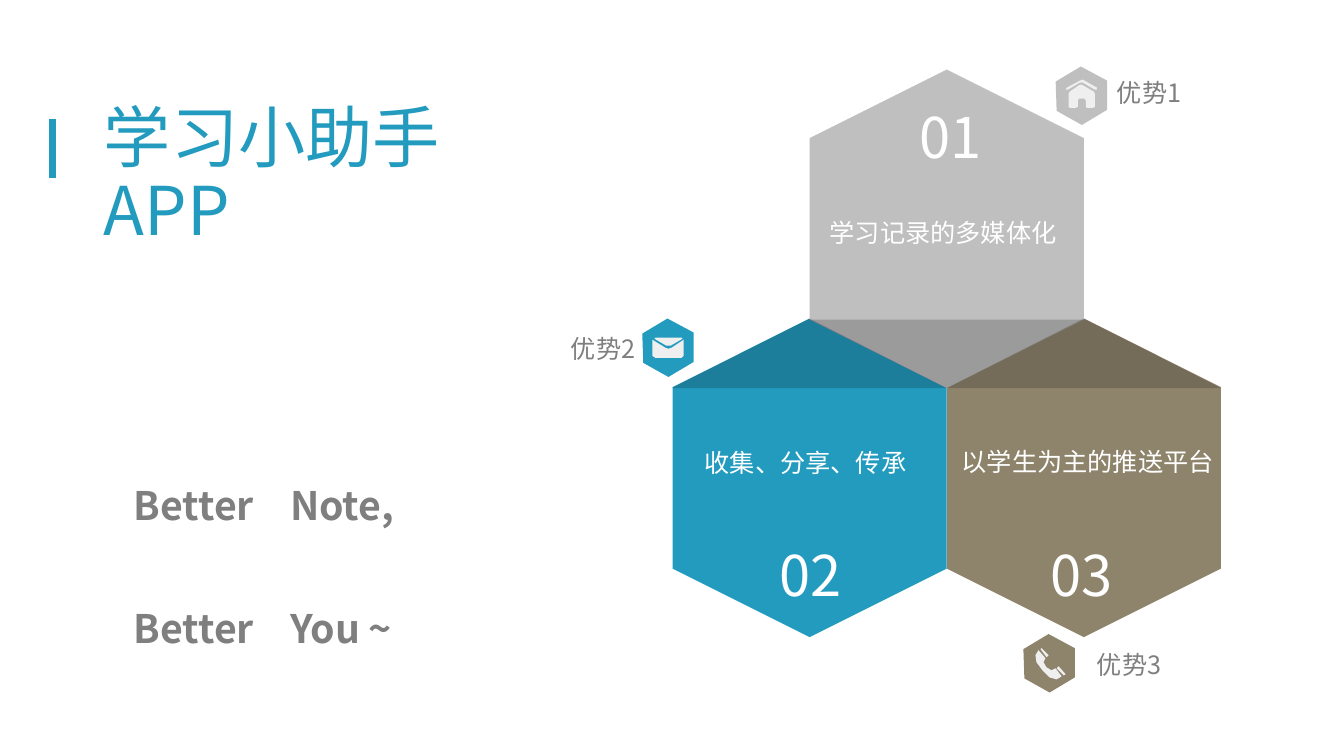
from pptx import Presentation
from pptx.dml.color import RGBColor
from pptx.enum.shapes import MSO_CONNECTOR, MSO_SHAPE
from pptx.enum.text import MSO_ANCHOR, MSO_AUTO_SIZE, PP_ALIGN
from pptx.oxml.ns import qn
from pptx.util import Inches, Pt
from lxml.etree import SubElement

BLUE = RGBColor(0x22, 0x9B, 0xBF)
BROWN = RGBColor(0x8E, 0x84, 0x6C)
SILVER = RGBColor(0xBF, 0xBF, 0xBF)
GRAY = RGBColor(0x7F, 0x7F, 0x7F)
ICON = RGBColor(0xF0, 0xEF, 0xEF)
SHADE = RGBColor(0x0D, 0x0D, 0x0D)
WHITE = RGBColor(0xFF, 0xFF, 0xFF)

HEXAGONS = [(10.75, 4.74, BROWN), (8.03, 4.74, BLUE), (9.39, 2.27, SILVER)]
SHADOWS = [
    [(10.75, 3.16), (12.11, 3.85), (9.39, 3.85)],
    [(8.03, 3.16), (9.39, 3.85), (6.66, 3.85)],
    [(9.39, 3.85), (10.75, 3.17), (8.03, 3.17)],
]
BADGES = [(10.47, 0.66, SILVER), (10.15, 6.29, BROWN), (6.37, 3.16, BLUE)]
BADGE_OUTLINE = [(0, 0.15), (0.25, 0), (0.51, 0.14), (0.51, 0.43), (0.26, 0.58), (0.01, 0.44)]
ICON_PARTS = [
    [(10.73, 0.84), (10.71, 0.84), (10.61, 0.91), (10.6, 0.93), (10.6, 1.06), (10.61, 1.07),
     (10.67, 1.07), (10.69, 1.06), (10.69, 1), (10.7, 0.98), (10.76, 0.98), (10.77, 1),
     (10.77, 1.06), (10.78, 1.07), (10.84, 1.07), (10.86, 1.06), (10.86, 0.93), (10.85, 0.91)],
    [(10.88, 0.89), (10.86, 0.89), (10.74, 0.82), (10.71, 0.82), (10.59, 0.89), (10.57, 0.89),
     (10.58, 0.87), (10.71, 0.8), (10.74, 0.79), (10.88, 0.87)],
    [(10.47, 6.63), (10.43, 6.65), (10.38, 6.62), (10.35, 6.57), (10.37, 6.53), (10.3, 6.45),
     (10.27, 6.5), (10.28, 6.57), (10.34, 6.65), (10.41, 6.72), (10.48, 6.74), (10.53, 6.71)],
    [(10.57, 6.69), (10.55, 6.7), (10.48, 6.63), (10.5, 6.61)],
    [(10.4, 6.5), (10.38, 6.52), (10.32, 6.44), (10.33, 6.43)],
    [(6.65, 3.43), (6.77, 3.36), (6.76, 3.35), (6.5, 3.35), (6.49, 3.36), (6.61, 3.43)],
    [(6.66, 3.45), (6.63, 3.46), (6.6, 3.45), (6.47, 3.37), (6.47, 3.53), (6.5, 3.55),
     (6.76, 3.55), (6.78, 3.53), (6.78, 3.37)],
]
LABEL = {"size": Pt(18), "color": GRAY}
CAPTION = {"size": Pt(18), "color": WHITE}
NUMBER = {"size": Pt(40), "color": WHITE}
SLOGAN = {"size": Pt(28), "color": GRAY, "bold": True}
HEADING = {"size": Pt(48), "color": BLUE, "bold": False}
TEXTS = [
    ("优势1", 10.98, 0.72, 1.95, 0.4, LABEL, PP_ALIGN.LEFT),
    ("优势3", 10.78, 6.39, 1.95, 0.4, LABEL, PP_ALIGN.LEFT),
    ("优势2", 4.45, 3.26, 1.95, 0.4, LABEL, PP_ALIGN.RIGHT),
    ("01", 9.02, 0.97, 0.83, 0.77, NUMBER, PP_ALIGN.LEFT),
    ("03", 10.32, 5.31, 0.83, 0.77, NUMBER, PP_ALIGN.LEFT),
    ("02", 7.63, 5.31, 0.83, 0.77, NUMBER, PP_ALIGN.LEFT),
    ("学习记录的多媒体化", 8.13, 2.11, 2.51, 0.4, CAPTION, PP_ALIGN.LEFT),
    ("收集、分享、传承", 6.89, 4.39, 2.55, 0.4, CAPTION, PP_ALIGN.LEFT),
    ("以学生为主的推送平台", 9.44, 4.38, 2.76, 0.4, CAPTION, PP_ALIGN.LEFT),
]
SLOGANS = [("Better\tNote,", 4.73), ("Better\tYou ~", 5.95)]


class SlideBuilder:
    font_name = "Noto Sans CJK SC"

    def __init__(self, page):
        self.page = page

    def paint(self, shape, color):
        shape.shadow.inherit = False
        shape.fill.solid()
        shape.fill.fore_color.rgb = color
        shape.line.fill.background()

    def hexagon(self, center_x, center_y, color):
        width, height = 3.16, 2.72
        shape = self.page.shapes.add_shape(
            MSO_SHAPE.HEXAGON, Inches(center_x - width / 2), Inches(center_y - height / 2),
            Inches(width), Inches(height))
        shape.rotation = 270
        shape.adjustments[0] = 0.25
        self.paint(shape, color)

    def outline(self, points, color, alpha=None):
        (start_x, start_y), *others = points
        builder = self.page.shapes.build_freeform(
            Inches(start_x), Inches(start_y), scale=1.0)
        builder.add_line_segments([(Inches(x), Inches(y)) for x, y in others], close=True)
        shape = builder.convert_to_shape()
        self.paint(shape, color)
        if alpha is not None:
            tone = shape._element.spPr.find(qn("a:solidFill"))[0]
            SubElement(tone, qn("a:alpha"), val=str(alpha * 1000))

    def set_text(self, box, text, style, align, tab=None):
        frame = box.text_frame
        frame.word_wrap = True
        frame.auto_size = MSO_AUTO_SIZE.NONE
        frame.vertical_anchor = MSO_ANCHOR.TOP
        para = frame.paragraphs[0]
        para.alignment = align
        if tab is not None:
            tabs = SubElement(para._p.get_or_add_pPr(), qn("a:tabLst"))
            SubElement(tabs, qn("a:tab"), pos=str(Inches(tab)), algn="l")
        span = para.add_run()
        span.text = text
        span.font.name = self.font_name
        SubElement(span._r.get_or_add_rPr(), qn("a:ea"), typeface=self.font_name)
        for name, value in style.items():
            if name == "color":
                span.font.color.rgb = value
            else:
                setattr(span.font, name, value)
        return para

    def text(self, text, left, top, width, height, style, align=PP_ALIGN.LEFT, tab=None):
        box = self.page.shapes.add_textbox(
            Inches(left), Inches(top), Inches(width), Inches(height))
        self.set_text(box, text, style, align, tab)

    def title(self, text, left, top, width, height):
        box = self.page.shapes.title
        place = {"left": left, "top": top, "width": width, "height": height}
        for name, value in place.items():
            setattr(box, name, Inches(value))
        para = self.set_text(box, text, HEADING, PP_ALIGN.LEFT)
        para.line_spacing = 0.9

    def line(self, start_x, start_y, end_x, end_y, color, width):
        connector = self.page.shapes.add_connector(
            MSO_CONNECTOR.STRAIGHT, Inches(start_x), Inches(start_y),
            Inches(end_x), Inches(end_y))
        connector.line.color.rgb = color
        connector.line.width = Pt(width)
        SubElement(connector._element.spPr, qn("a:effectLst"))


def main():
    deck = Presentation()
    deck.slide_width = Inches(13.33)
    deck.slide_height = Inches(7.5)
    builder = SlideBuilder(deck.slides.add_slide(deck.slide_layouts[5]))
    for hexagon in HEXAGONS:
        builder.hexagon(*hexagon)
    for left, top, color in BADGES:
        builder.outline([(left + x, top + y) for x, y in BADGE_OUTLINE], color)
    for points in ICON_PARTS:
        builder.outline(points, ICON)
    for points in SHADOWS:
        builder.outline(points, SHADE, alpha=20)
    for entry in TEXTS:
        builder.text(*entry)
    for words, top in SLOGANS:
        builder.text(words, 1.23, top, 4.5, 0.57, SLOGAN, tab=1.55)
    builder.title("学习小助手APP", 0.93, 0.99, 4.3, 0.9)
    builder.line(0.52, 1.18, 0.52, 1.77, BLUE, 4.5)
    deck.save("out.pptx")


if __name__ == "__main__":
    main()
